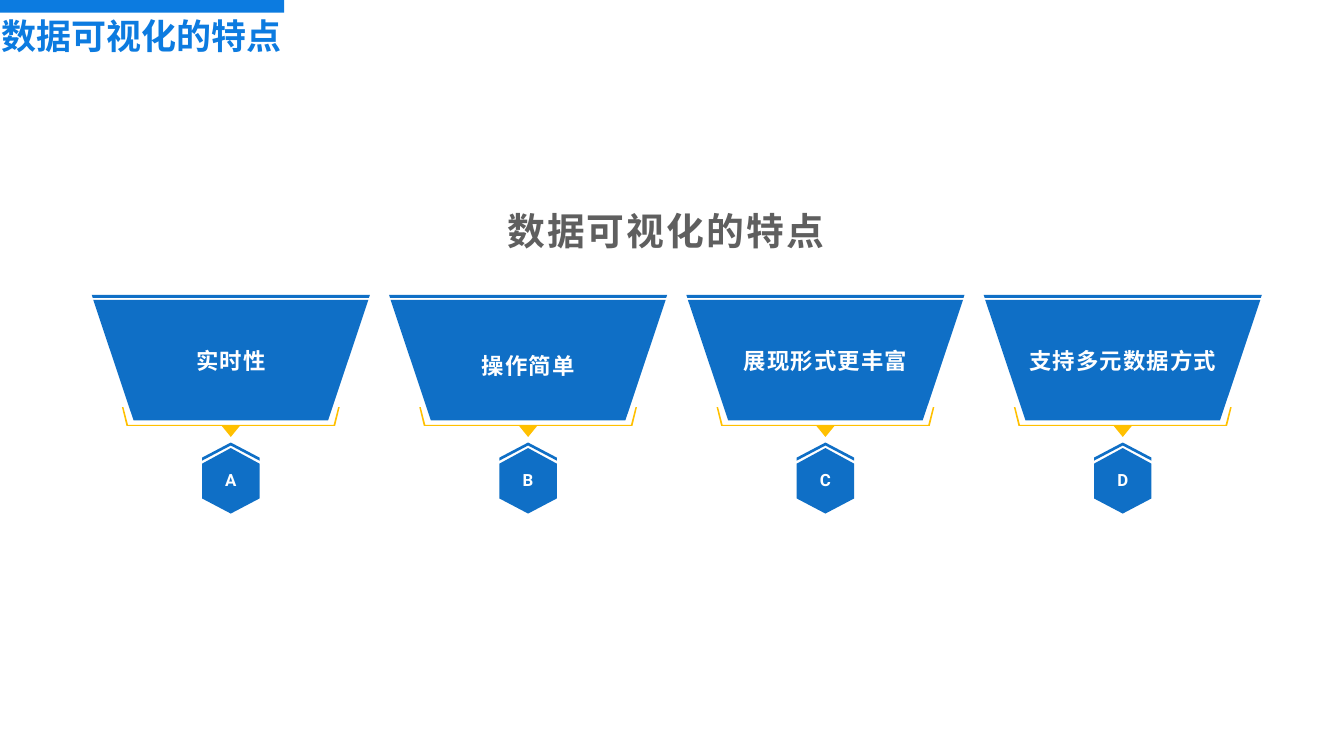
from pptx import Presentation
from pptx.dml.color import RGBColor
from pptx.enum.shapes import MSO_SHAPE
from pptx.enum.text import MSO_ANCHOR, MSO_AUTO_SIZE, PP_ALIGN
from pptx.util import Inches, Pt

COLORS = {
    "title": "0C7BE0",
    "panel": "0F6FC6",
    "bracket": "FFC000",
    "heading": "5F5F5F",
    "white": "FFFFFF",
}
FONT = "Roboto"
FIRST_CENTER, COLUMN_PITCH = 4.58, 5.9
LABEL_WIDTH, LABEL_HEIGHT = 4.32, 1.77

# Outlines: x is measured from the column's centre, y from the slide's top
BRACKET = [[
    (-2.16, 8.08), (-2.13, 8.08), (-2.04, 8.43), (2.04, 8.43), (2.13, 8.08),
    (2.16, 8.08), (2.07, 8.45), (0.18, 8.45), (0, 8.67), (-0.18, 8.45), (-2.07, 8.45),
]]
HEXAGON = [
    [(0, 8.89), (0.57, 9.2), (0.57, 9.89), (0, 10.19), (-0.57, 9.89), (-0.57, 9.2)],
    [(0, 8.78), (0.57, 9.08), (0.57, 9.14), (0, 8.84), (-0.57, 9.14), (-0.57, 9.08)],
]
PANEL = [
    [(-2.73, 5.95), (2.73, 5.95), (1.93, 8.34), (-1.93, 8.34)],
    [(-2.76, 5.85), (2.76, 5.85), (2.74, 5.91), (-2.74, 5.91)],
]
COLUMNS = [
    ("A", "实时性", 6.21),
    ("B", "操作简单", 6.31),
    ("C", "展现形式更丰富", 6.22),
    ("D", "支持多元数据方式", 6.22),
]


def add_outline(center, contours, color):
    """Draw closed contours around a column's centre as one filled shape."""
    placed = [[(Inches(center + x), Inches(y)) for x, y in contour] for contour in contours]
    builder = slide.shapes.build_freeform(*placed[0][0])
    for contour in placed:
        if contour is not placed[0]:
            builder.move_to(*contour[0])
        builder.add_line_segments(contour[1:], close=True)
    shape = builder.convert_to_shape()
    shape.shadow.inherit = False
    shape.fill.solid()
    shape.fill.fore_color.rgb = RGBColor.from_string(COLORS[color])
    shape.line.fill.background()
    return shape


def write(shape, text, size, color, spacing=0, align=PP_ALIGN.CENTER,
          anchor=MSO_ANCHOR.MIDDLE, line_spacing=1.2):
    """Put one bold run in a shape; spacing is the letter spacing in points."""
    frame = shape.text_frame
    frame.word_wrap = True
    frame.auto_size = MSO_AUTO_SIZE.NONE
    frame.vertical_anchor = anchor
    paragraph = frame.paragraphs[0]
    paragraph.alignment = align
    paragraph.line_spacing = line_spacing
    run = paragraph.add_run()
    run.text = text
    run.font.name = FONT
    run.font.size = Pt(size)
    run.font.bold = True
    run.font.color.rgb = RGBColor.from_string(COLORS[color])
    if spacing:
        run.font._element.set("spc", str(int(spacing * 100)))


presentation = Presentation()
presentation.slide_width = Inches(26.67)
presentation.slide_height = Inches(15)
slide = presentation.slides.add_slide(presentation.slide_layouts[5])

# Title with its bar
bar = slide.shapes.add_shape(
    MSO_SHAPE.RECTANGLE, Inches(-0.02), Inches(-0.01), Inches(5.66), Inches(0.26))
bar.shadow.inherit = False
bar.fill.solid()
bar.fill.fore_color.rgb = RGBColor.from_string(COLORS["title"])
bar.line.fill.background()

title = slide.shapes.title
title.left, title.top = Inches(0.03), Inches(0.28)
title.width, title.height = Inches(6.07), Inches(1.62)
frame = title.text_frame
frame.margin_left = frame.margin_right = frame.margin_top = frame.margin_bottom = 0
write(title, "数据可视化的特点", 50, "title", align=PP_ALIGN.LEFT,
      anchor=MSO_ANCHOR.TOP, line_spacing=1.0)

# Four columns: bracket, lettered hexagon, panel and label
for index, (letter, label, label_top) in enumerate(COLUMNS):
    center = FIRST_CENTER + index * COLUMN_PITCH
    add_outline(center, BRACKET, "bracket")
    hexagon = add_outline(center, HEXAGON, "panel")
    write(hexagon, letter, 24, "white")
    add_outline(center, PANEL, "panel")
    label_box = slide.shapes.add_textbox(
        Inches(center - LABEL_WIDTH / 2), Inches(label_top),
        Inches(LABEL_WIDTH), Inches(LABEL_HEIGHT))
    write(label_box, label, 32, "white", spacing=1.5)

# Heading above the columns
heading = slide.shapes.add_textbox(Inches(8.91), Inches(3.67), Inches(8.6), Inches(1.62))
write(heading, "数据可视化的特点", 54, "heading", spacing=3)

presentation.save("out.pptx")
